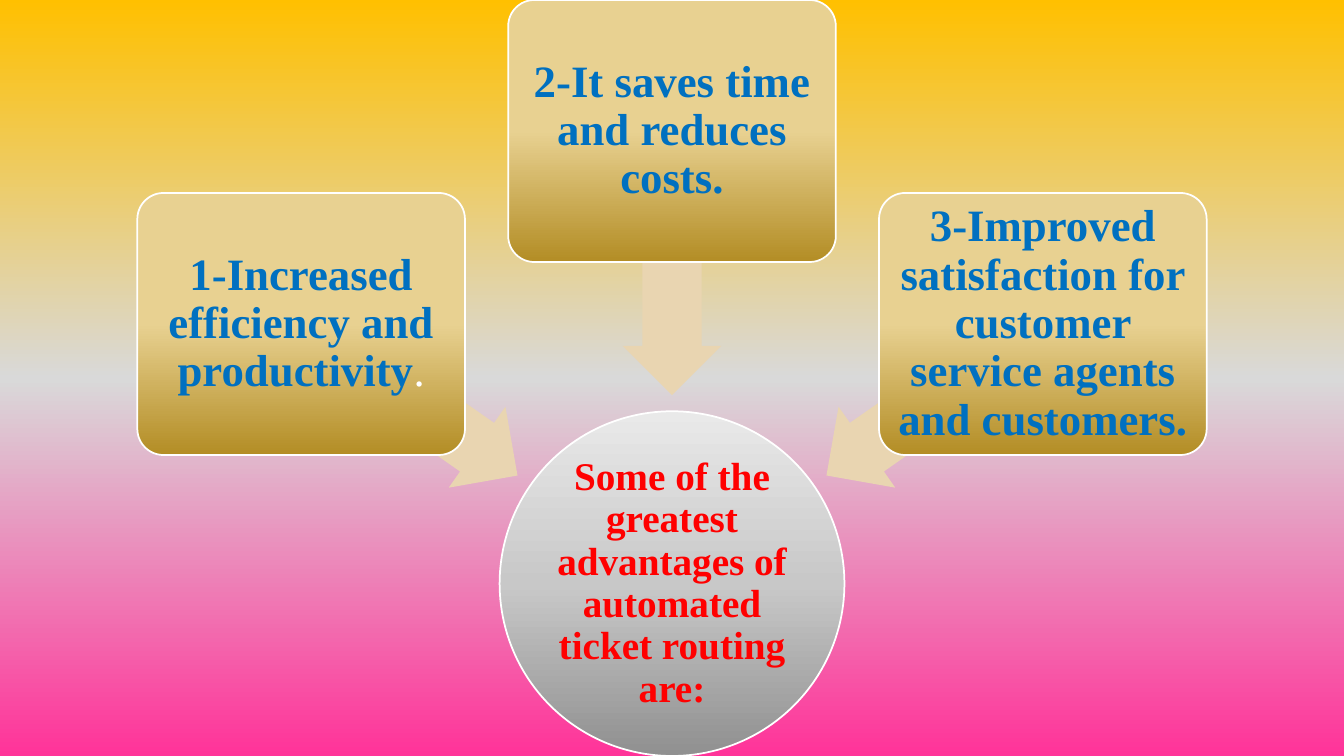
from math import cos, radians, sin

from lxml.etree import SubElement
from pptx import Presentation
from pptx.dml.color import RGBColor
from pptx.enum.shapes import MSO_SHAPE
from pptx.enum.text import MSO_ANCHOR, PP_ALIGN
from pptx.oxml.ns import qn
from pptx.util import Inches, Pt

WHITE = RGBColor(0xFF, 0xFF, 0xFF)
RED = RGBColor(0xFF, 0x00, 0x00)
BLUE = RGBColor(0x00, 0x70, 0xC0)
SAND = RGBColor(0xE9, 0xD5, 0xB1)
GOLD = RGBColor(0xE8, 0xD1, 0x91)
DARK_GOLD = RGBColor(0xB3, 0x8D, 0x25)
AMBER = RGBColor(0xFF, 0xC0, 0x00)
PALE_GRAY = RGBColor(0xD9, 0xD9, 0xD9)
PINK = RGBColor(0xFF, 0x33, 0x99)
HUB_GRAYS = (RGBColor(0xE9, 0xE9, 0xE9), RGBColor(0xC8, 0xC8, 0xC8),
             RGBColor(0x90, 0x90, 0x90))

FONT = "Times New Roman"
SLIDE_WIDTH, SLIDE_HEIGHT = 13.33, 7.5
HUB_SIZE = 3.42
CARD_WIDTH, CARD_HEIGHT = 3.25, 2.6
ARROW_LENGTH, ARROW_WIDTH = 2.62, 0.98
ARROW_RADIUS, CARD_RADIUS = 3.18, 4.49

# Direction from the hub in degrees, bold text, plain white ending
ADVANTAGES = [
    (145, "1-Increased efficiency and productivity", "."),
    (90, "2-It saves time and reduces costs.", ""),
    (35, "3-Improved satisfaction for customer service agents and customers.", ""),
]


def set_gradient(fill, element, colors):
    """Fill from top to bottom with three evenly spaced colours."""
    fill.gradient()
    fill.gradient_angle = 270
    stops = element.xpath(".//a:gsLst")[0]
    for stop in list(stops):
        stops.remove(stop)
    for position, color in zip((0, 50000, 100000), colors):
        stop = SubElement(stops, qn("a:gs"), pos=str(position))
        SubElement(stop, qn("a:srgbClr"), val=str(color))


def add_centered_shape(page, kind, center, width, height):
    x, y = center
    shape = page.shapes.add_shape(kind, Inches(x - width / 2), Inches(y - height / 2),
                                  Inches(width), Inches(height))
    shape.shadow.inherit = False
    return shape


def outline_white(shape):
    shape.line.color.rgb = WHITE
    shape.line.width = Pt(1.25)


def write_text(shape, text, size, color, inset):
    """Write one bold centred paragraph and return it."""
    frame = shape.text_frame
    frame.word_wrap = True
    frame.vertical_anchor = MSO_ANCHOR.MIDDLE
    frame.margin_left = frame.margin_right = Inches(inset)
    frame.margin_top = frame.margin_bottom = Inches(inset)
    frame.text = text
    paragraph = frame.paragraphs[0]
    paragraph.alignment = PP_ALIGN.CENTER
    paragraph.line_spacing = 0.9
    format_span(paragraph.runs[0], size, color, True)
    return paragraph


def format_span(span, size, color, bold):
    span.font.name = FONT
    span.font.size = Pt(size)
    span.font.bold = bold
    span.font.color.rgb = color


def add_hub(page, center):
    hub = add_centered_shape(page, MSO_SHAPE.OVAL, center, HUB_SIZE, HUB_SIZE)
    set_gradient(hub.fill, hub.element, HUB_GRAYS)
    outline_white(hub)
    write_text(hub, "Some of the greatest advantages of automated ticket routing are:",
               28, RED, 0.02)


def add_arrow(page, center, angle):
    arrow = add_centered_shape(page, MSO_SHAPE.LEFT_ARROW, center,
                               ARROW_LENGTH, ARROW_WIDTH)
    arrow.adjustments[0] = 0.6
    arrow.adjustments[1] = 0.5
    arrow.rotation = 360 - angle
    arrow.fill.solid()
    arrow.fill.fore_color.rgb = SAND
    arrow.line.fill.background()


def add_card(page, center, text, ending):
    card = add_centered_shape(page, MSO_SHAPE.ROUNDED_RECTANGLE, center,
                              CARD_WIDTH, CARD_HEIGHT)
    card.adjustments[0] = 0.1
    set_gradient(card.fill, card.element, (GOLD, GOLD, DARK_GOLD))
    outline_white(card)
    paragraph = write_text(card, text, 32, BLUE, 0.07)
    if ending:
        span = paragraph.add_run()
        span.text = ending
        format_span(span, 32, WHITE, False)


def point_around(center, radius, angle):
    x, y = center
    return x + radius * cos(radians(angle)), y - radius * sin(radians(angle))


def add_advantages(page, hub_center):
    """Place the hub, with each card and its arrow on a ray from its centre."""
    add_hub(page, hub_center)
    for angle, text, ending in ADVANTAGES:
        add_arrow(page, point_around(hub_center, ARROW_RADIUS, angle), angle)
        add_card(page, point_around(hub_center, CARD_RADIUS, angle), text, ending)


def main():
    deck = Presentation()
    deck.slide_width = Inches(SLIDE_WIDTH)
    deck.slide_height = Inches(SLIDE_HEIGHT)
    page = deck.slides.add_slide(deck.slide_layouts[6])
    set_gradient(page.background.fill, page.element, (AMBER, PALE_GRAY, PINK))
    add_advantages(page, (SLIDE_WIDTH / 2, SLIDE_HEIGHT - HUB_SIZE / 2))
    deck.save("out.pptx")


if __name__ == "__main__":
    main()
